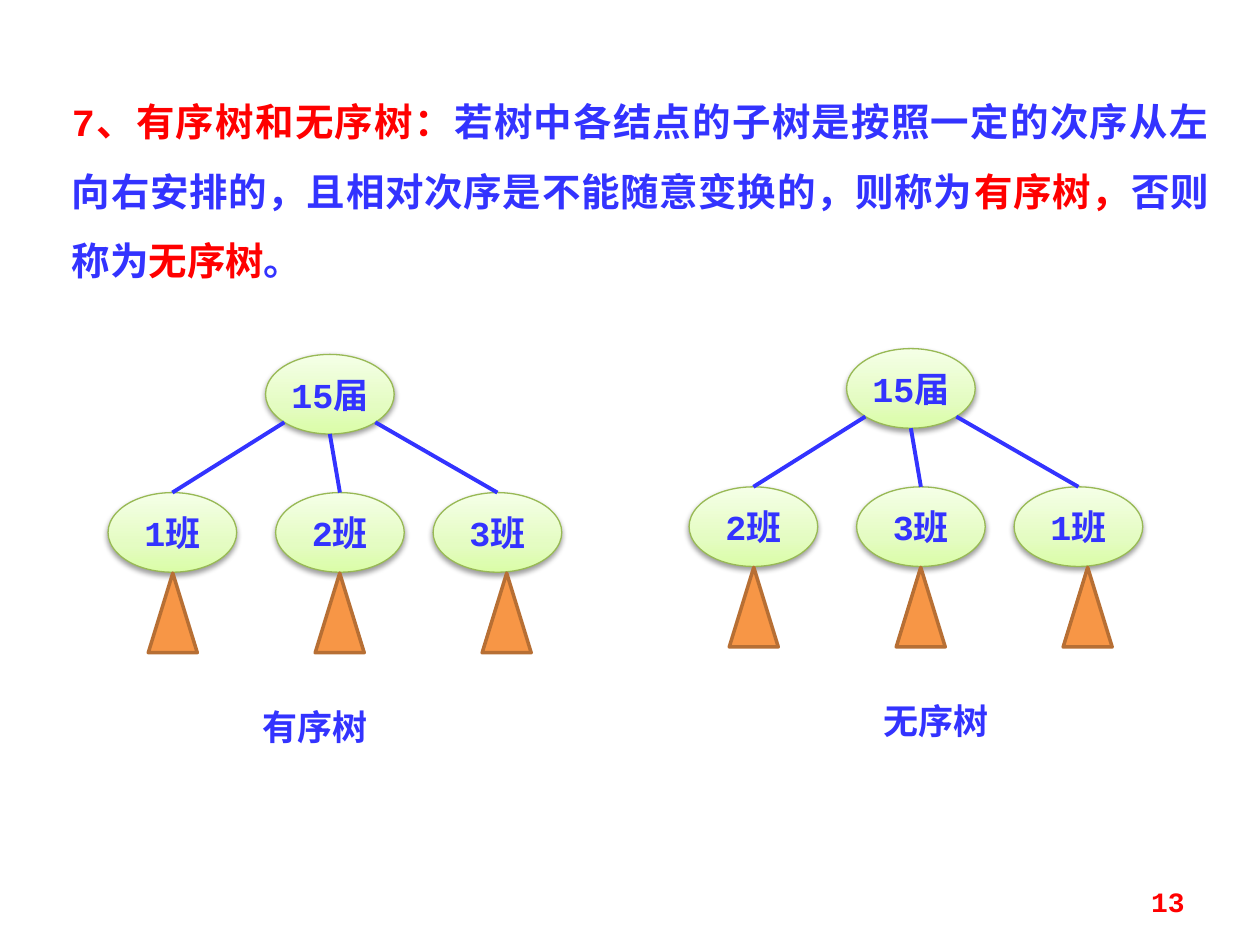
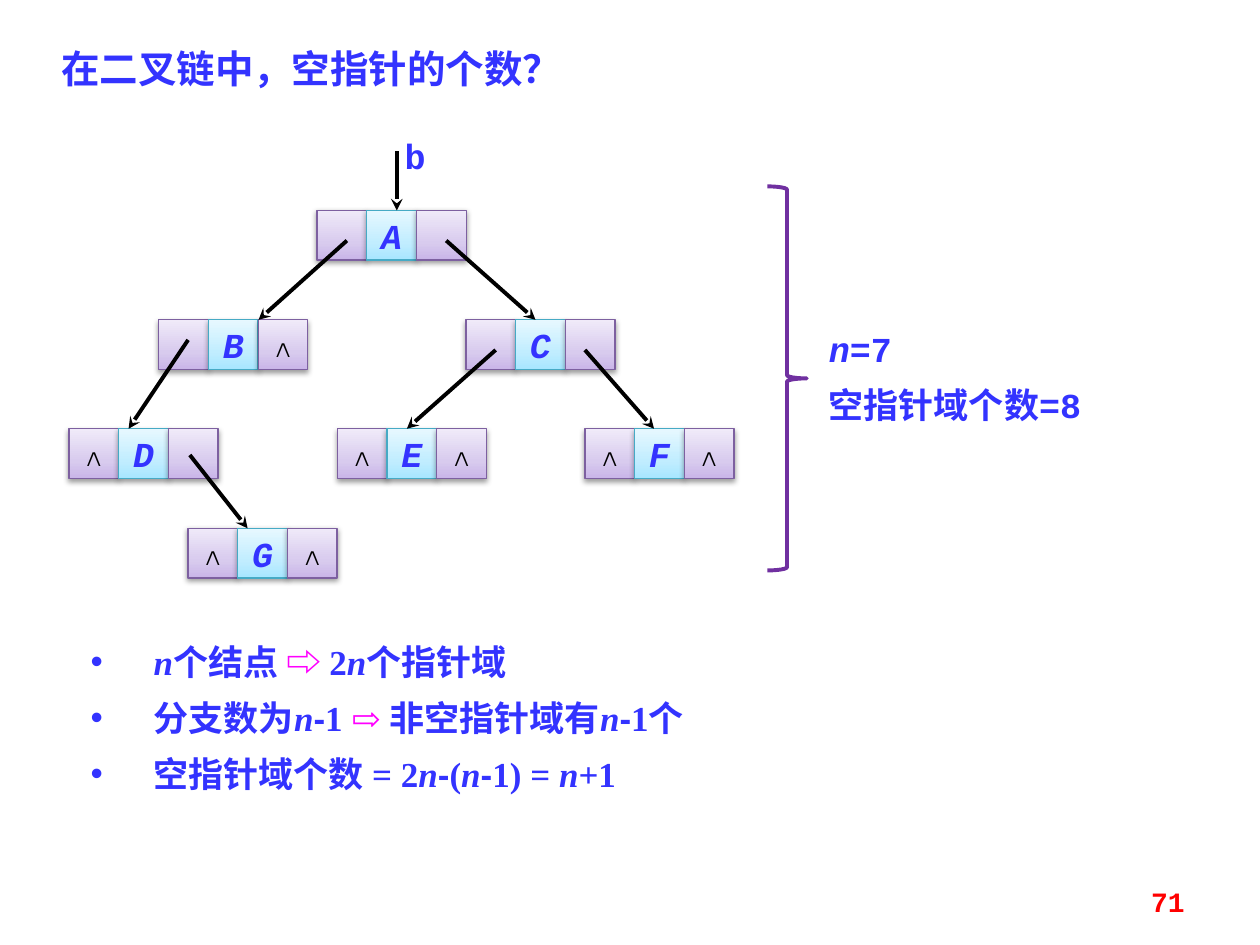
"""Build two slides on ordered trees and the null pointers of a binary linked tree."""
from copy import deepcopy
from dataclasses import dataclass, field
from math import sqrt

from pptx import Presentation
from pptx.dml.color import RGBColor
from pptx.enum.lang import MSO_LANGUAGE_ID
from pptx.enum.shapes import MSO_CONNECTOR, MSO_SHAPE
from pptx.enum.text import MSO_ANCHOR, PP_ALIGN
from pptx.oxml.ns import qn
from pptx.oxml import parse_xml
from pptx.shapes.autoshape import Shape
from pptx.slide import Slide
from pptx.util import Pt
from lxml.etree import SubElement

BLUE = RGBColor(0x33, 0x33, 0xFF)
RED = RGBColor(0xFF, 0x00, 0x00)
MAGENTA = RGBColor(0xFF, 0x00, 0xFF)
BLACK = RGBColor(0x00, 0x00, 0x00)
PURPLE = RGBColor(0x70, 0x30, 0xA0)
ORANGE = RGBColor(0xF7, 0x96, 0x46)
BROWN = RGBColor(0xB7, 0x6F, 0x34)

MONO, SERIF, SANS = "Courier New", "Times New Roman", "Arial"
SHADOW = (
    '<a:outerShdw xmlns:a="http://schemas.openxmlformats.org/drawingml/2006/main" '
    'blurRad="40000" dist="20000" dir="5400000" rotWithShape="0">'
    '<a:srgbClr val="000000"><a:alpha val="38000"/></a:srgbClr></a:outerShdw>'
)

Point = tuple[float, float]
Area = tuple[float, float, float, float]


@dataclass(frozen=True)
class Span:
    """A stretch of text and the format that sets it apart."""
    text: str
    style: dict = field(default_factory=dict)


@dataclass(frozen=True)
class Palette:
    """The gradient from bottom to top and the outline of a shaded shape."""
    bottom: RGBColor
    middle: RGBColor
    top: RGBColor
    outline: RGBColor


@dataclass(frozen=True)
class ClassTree:
    """A school year with its classes in one order."""
    left: float
    top: float
    classes: tuple[str, ...]
    caption: str
    caption_left: float


@dataclass(frozen=True)
class LinkedNode:
    """A binary tree node with a letter between two pointer cells."""
    letter: str
    left: float
    top: float
    left_mark: str = ""
    right_mark: str = ""


GREEN_SHADE = Palette(RGBColor(0xDA, 0xFD, 0xA7), RGBColor(0xE4, 0xFC, 0xC2),
                      RGBColor(0xF5, 0xFF, 0xE7), RGBColor(0x98, 0xB9, 0x55))
LILAC_SHADE = Palette(RGBColor(0xC9, 0xB5, 0xE8), RGBColor(0xD8, 0xCB, 0xEE),
                      RGBColor(0xF0, 0xEA, 0xF9), RGBColor(0x7D, 0x60, 0xA0))
AQUA_SHADE = Palette(RGBColor(0xA7, 0xE6, 0xFF), RGBColor(0xC1, 0xED, 0xFF),
                     RGBColor(0xE7, 0xF8, 0xFF), RGBColor(0x46, 0xAA, 0xC5))

OVAL_WIDTH, OVAL_HEIGHT = 73.5, 45.5
CLASS_OFFSETS = (0, 95.75, 185.75)
ROOT_OFFSET, LEVEL_DROP = 90, 79
SUBTREE_WIDTH, SUBTREE_OFFSET, SUBTREE_STEP = 28, 23, 95.4
TREES = (
    ClassTree(61.75, 202.5, ("1班", "2班", "3班"), "有序树", 129.5),
    ClassTree(393.75, 199.2, ("2班", "3班", "1班"), "无序树", 484),
)

CELL = 28.4
NIL = "∧"
LEVELS = (120.25, 182.75, 245, 301.9)
NODES = (
    LinkedNode("A", 181.25, LEVELS[0]),
    LinkedNode("B", 90.75, LEVELS[1], right_mark=NIL),
    LinkedNode("C", 266.25, LEVELS[1]),
    LinkedNode("D", 39.5, LEVELS[2], left_mark=NIL),
    LinkedNode("E", 192.75, LEVELS[2], NIL, NIL),
    LinkedNode("F", 334.25, LEVELS[2], NIL, NIL),
    LinkedNode("G", 107.5, LEVELS[3], NIL, NIL),
)
POINTERS = (
    ((198.25, 137.5), (147.75, LEVELS[1])),
    ((107.5, 194.25), (73.5, LEVELS[2])),
    ((255, 137.5), (306, LEVELS[1])),
    ((108.5, 260), (141.5, LEVELS[3])),
    ((283.25, 200), (232.5, LEVELS[2])),
    ((334.25, 200), (373.75, LEVELS[2])),
    ((226.75, 86.4), (226.75, LEVELS[0])),
)

VARIABLE = Span("n", {"italic": True})
MINUS = Span("-", {"font": SANS})
DEFINITION = [
    Span("7、有序树和无序树：", {"color": RED}),
    Span("若树中各结点的子树是按照一定的次序从左向右安排的，且相对次序是不能随意变换的，则称为"),
    Span("有序树，", {"color": RED}),
    Span("否则称为"),
    Span("无序树", {"color": RED}),
    Span("。"),
]
CONCLUSIONS = [
    [VARIABLE, Span("个结点 "), Span("⇨ ", {"color": MAGENTA}), Span("2"), VARIABLE,
     Span("个指针域")],
    [Span("分支数为"), VARIABLE, MINUS, Span("1 "), Span("⇨", {"color": MAGENTA}),
     Span(" 非空指针域有"), VARIABLE, MINUS, Span("1个")],
    [Span("空指针域个数 = 2"), VARIABLE, MINUS, Span("("), VARIABLE, MINUS, Span("1) = "),
     VARIABLE, Span("+1")],
]
COUNTS = [[VARIABLE, Span("=7")], [Span("空指针域个数=8")]]


def add_span(para, text: str, *, size: float = 20, font: str = MONO, color: RGBColor = BLUE,
             bold: bool = True, italic: bool = False) -> None:
    """Append formatted text to a paragraph."""
    span = para.add_run()
    span.text = text
    span.font.size = Pt(size)
    span.font.name = font
    span.font.color.rgb = color
    span.font.bold = bold
    span.font.italic = italic
    span.font.language_id = MSO_LANGUAGE_ID.SIMPLIFIED_CHINESE


def write(shape: Shape, paragraphs: list[list[Span]], *, align=PP_ALIGN.LEFT, spacing=None,
          bullet: bool = False, anchor=MSO_ANCHOR.TOP, wrap: bool = True, **style) -> None:
    """Fill a shape with paragraphs in one common style."""
    frame = shape.text_frame
    frame.word_wrap = wrap
    frame.vertical_anchor = anchor
    for index, spans in enumerate(paragraphs):
        para = frame.add_paragraph() if index else frame.paragraphs[0]
        para.alignment = align
        if spacing:
            para.line_spacing = spacing
        if bullet:
            properties = para._p.get_or_add_pPr()
            properties.set("marL", str(Pt(36)))
            properties.set("indent", str(-Pt(36)))
            SubElement(properties, qn("a:buFont")).set("typeface", SANS)
            SubElement(properties, qn("a:buChar")).set("char", "•")
        for span in spans:
            add_span(para, span.text, **{**style, **span.style})


def add_text(page: Slide, area: Area, paragraphs: list[list[Span]], **style) -> None:
    """Place a text box."""
    box = page.shapes.add_textbox(*map(Pt, area))
    write(box, paragraphs, **style)


def add_figure(page: Slide, kind: MSO_SHAPE, area: Area, outline: RGBColor, width: float,
               fill: RGBColor | None = None) -> Shape:
    """Place a flat preset shape."""
    shape = page.shapes.add_shape(kind, *map(Pt, area))
    shape.shadow.inherit = False
    shape.line.color.rgb = outline
    shape.line.width = Pt(width)
    if fill is None:
        shape.fill.background()
    else:
        shape.fill.solid()
        shape.fill.fore_color.rgb = fill
    return shape


def add_shaded(page: Slide, kind: MSO_SHAPE, area: Area, palette: Palette) -> Shape:
    """Place a preset shape with a three-step gradient and a soft shadow."""
    shape = add_figure(page, kind, area, palette.outline, 0.75)
    shape.fill.gradient()
    shape.fill.gradient_angle = 90
    properties = shape._element.spPr
    stop_list = properties.find(f".//{qn('a:gsLst')}")
    stop_list.insert(1, deepcopy(stop_list[0]))
    colors = (palette.bottom, palette.middle, palette.top)
    for stop, position, color in zip(shape.fill.gradient_stops, (0, 0.35, 1), colors):
        stop.position = position
        stop.color.rgb = color
    properties.find(qn("a:effectLst")).append(parse_xml(SHADOW))
    return shape


def add_line(page: Slide, start: Point, end: Point, color: RGBColor, arrow: bool = False) -> None:
    """Draw a straight line, with an arrowhead at its end if asked."""
    line = page.shapes.add_connector(MSO_CONNECTOR.STRAIGHT, *map(Pt, (*start, *end)))
    line.line.color.rgb = color
    line.line.width = Pt(2.25)
    properties = line._element.spPr
    if arrow:
        SubElement(properties.find(qn("a:ln")), qn("a:tailEnd")).set("type", "stealth")
    SubElement(properties, qn("a:effectLst"))


def add_oval(page: Slide, left: float, top: float, label: str) -> None:
    """Draw a labelled oval of a class tree."""
    oval = add_shaded(page, MSO_SHAPE.OVAL, (left, top, OVAL_WIDTH, OVAL_HEIGHT), GREEN_SHADE)
    frame = oval.text_frame
    frame.margin_left = frame.margin_right = frame.margin_top = frame.margin_bottom = 0
    write(oval, [[Span(label)]], align=PP_ALIGN.CENTER, anchor=MSO_ANCHOR.MIDDLE)


def draw_class_tree(page: Slide, tree: ClassTree) -> None:
    """Draw a class tree with its subtrees and caption."""
    root_left = tree.left + ROOT_OFFSET
    class_top = tree.top + LEVEL_DROP
    class_bottom = class_top + OVAL_HEIGHT
    middle_x, middle_y = root_left + OVAL_WIDTH / 2, tree.top + OVAL_HEIGHT / 2
    reach_x, reach_y = OVAL_WIDTH / sqrt(8), OVAL_HEIGHT / sqrt(8)
    starts = ((middle_x - reach_x, middle_y + reach_y),
              (middle_x, tree.top + OVAL_HEIGHT),
              (middle_x + reach_x, middle_y + reach_y))
    add_oval(page, root_left, tree.top, "15届")
    for index, (label, offset, start) in enumerate(zip(tree.classes, CLASS_OFFSETS, starts)):
        left = tree.left + offset
        add_oval(page, left, class_top, label)
        add_line(page, start, (left + OVAL_WIDTH / 2, class_top), BLUE)
        subtree_left = tree.left + SUBTREE_OFFSET + index * SUBTREE_STEP
        add_figure(page, MSO_SHAPE.ISOSCELES_TRIANGLE,
                   (subtree_left, class_bottom + 0.5, SUBTREE_WIDTH, OVAL_HEIGHT),
                   BROWN, 2, ORANGE)
    add_text(page, (tree.caption_left, tree.top + 197, 101.5, 31.5), [[Span(tree.caption)]],
             align=PP_ALIGN.CENTER)


def draw_linked_node(page: Slide, node: LinkedNode) -> None:
    """Draw the three cells of a linked node."""
    letter_style = {"italic": True}
    mark_style = {"size": 18, "color": BLACK}
    cells = ((node.left_mark, LILAC_SHADE, mark_style),
             (node.letter, AQUA_SHADE, letter_style),
             (node.right_mark, LILAC_SHADE, mark_style))
    for index, (text, palette, style) in enumerate(cells):
        area = (node.left + index * CELL, node.top, CELL, CELL)
        cell = add_shaded(page, MSO_SHAPE.RECTANGLE, area, palette)
        if text:
            write(cell, [[Span(text)]], align=PP_ALIGN.CENTER, anchor=MSO_ANCHOR.MIDDLE,
                  wrap=False, **style)


def add_page(deck, number: int) -> Slide:
    """Add a blank page with its number."""
    page = deck.slides.add_slide(deck.slide_layouts[6])
    add_text(page, (516.25, 500.5, 167.75, 28.75), [[Span(str(number))]], align=PP_ALIGN.RIGHT,
             anchor=MSO_ANCHOR.MIDDLE, size=16, color=RED)
    return page


def build_ordered_trees(deck) -> None:
    """Build the page on ordered and unordered trees."""
    page = add_page(deck, 13)
    add_text(page, (34, 39.5, 663.75, 127.5), [DEFINITION], align=PP_ALIGN.JUSTIFY,
             spacing=1.5, size=22)
    for tree in TREES:
        draw_class_tree(page, tree)


def build_null_pointers(deck) -> None:
    """Build the page that counts null pointers."""
    page = add_page(deck, 71)
    add_text(page, (28, 22.25, 348.5, 34), [[Span("在二叉链中，空指针的个数？")]],
             size=22, font=SERIF)
    for node in NODES:
        draw_linked_node(page, node)
    for start, end in POINTERS:
        add_line(page, start, end, BLACK, arrow=True)
    add_text(page, (211.75, 73.5, 51, 31), [[Span("b")]], align=PP_ALIGN.CENTER)
    add_text(page, (44.75, 354.25, 438.5, 104.5), CONCLUSIONS, spacing=Pt(32), bullet=True,
             font=SERIF)
    add_text(page, (466.5, 175.75, 213.75, 68.5), COUNTS, spacing=Pt(32))
    add_figure(page, MSO_SHAPE.RIGHT_BRACE, (438.5, 106.5, 22.5, 219.5), PURPLE, 2.25)


def main() -> None:
    """Build and save the deck."""
    deck = Presentation()
    deck.slide_width, deck.slide_height = Pt(720), Pt(540)
    build_ordered_trees(deck)
    build_null_pointers(deck)
    deck.save("out.pptx")


if __name__ == "__main__":
    main()
